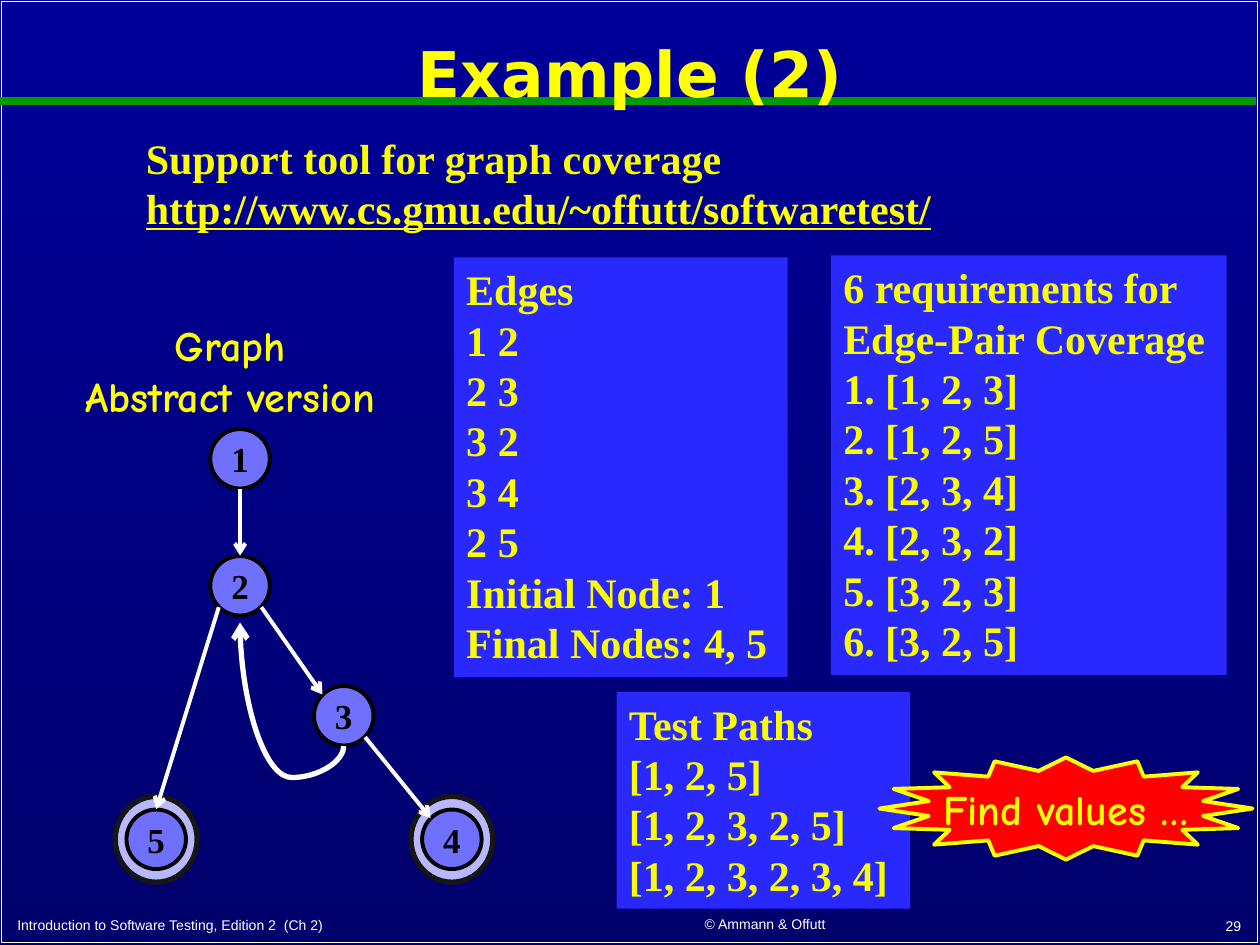
from dataclasses import dataclass

from lxml.etree import SubElement
from pptx import Presentation
from pptx.dml.color import RGBColor
from pptx.enum.shapes import MSO_CONNECTOR as Wire, MSO_SHAPE as Preset
from pptx.enum.text import MSO_ANCHOR as Anchor, PP_ALIGN as Align
from pptx.oxml.ns import qn
from pptx.util import Cm, Pt

WHITE = RGBColor(0xFF, 0xFF, 0xFF)
BLACK = RGBColor(0x00, 0x00, 0x00)
YELLOW = RGBColor(0xFF, 0xFF, 0x00)
LEMON = RGBColor(0xFA, 0xFD, 0x00)
RED = RGBColor(0xFF, 0x00, 0x00)
GREEN = RGBColor(0x00, 0x99, 0x00)
SKY_TOP = RGBColor(0x00, 0x00, 0x99)
SKY_BOTTOM = RGBColor(0x00, 0x00, 0x6D)
PANEL_BLUE = RGBColor(0x29, 0x29, 0xFF)
NODE_BLUE = RGBColor(0x70, 0x70, 0xFF)
RING_BLUE = RGBColor(0xB8, 0xB8, 0xFF)
RING_EDGE = RGBColor(0x16, 0x16, 0x16)

SERIF, COMIC = "Times New Roman", "Comic Neue"
NODE_SIZE = 1.2
RING_WIDTH, RING_HEIGHT = 1.65, 1.73
RADIUS, DIAGONAL = 0.61, 0.43


@dataclass(frozen=True)
class Style:
    font: str
    size: float
    color: RGBColor
    bold: bool = True
    align: Align = Align.LEFT
    anchor: Anchor = Anchor.TOP
    wrap: bool = True


@dataclass(frozen=True)
class Box:
    left: float
    top: float
    width: float
    height: float

    def lengths(self) -> list:
        return [Cm(v) for v in (self.left, self.top, self.width, self.height)]


@dataclass(frozen=True)
class Node:
    x: float
    y: float
    final: bool = False

    def around(self, width: float, height: float) -> Box:
        return Box(self.x - width / 2, self.y - height / 2, width, height)

    def site(self, dx: float, dy: float) -> tuple:
        return self.x + dx, self.y + dy


@dataclass(frozen=True)
class Panel:
    box: Box
    paragraphs: tuple


NODES = {
    1: Node(4.84, 9.25),
    2: Node(4.84, 11.81),
    3: Node(6.93, 14.43),
    4: Node(9.11, 16.92, final=True),
    5: Node(3.15, 16.92, final=True),
}
EDGES = (
    (NODES[1].site(0, RADIUS), NODES[2].site(0, -RADIUS)),
    (NODES[2].site(-DIAGONAL, DIAGONAL), NODES[5].site(0, -RADIUS)),
    (NODES[3].site(DIAGONAL, DIAGONAL), NODES[4].site(-DIAGONAL, -DIAGONAL)),
    (NODES[2].site(DIAGONAL, DIAGONAL), NODES[3].site(-DIAGONAL, -DIAGONAL)),
)
REQUIREMENTS = (
    "6 requirements for Edge-Pair Coverage", "1. [1, 2, 3]", "2. [1, 2, 5]",
    "3. [2, 3, 4]", "4. [2, 3, 2]", "5. [3, 2, 3]", "6. [3, 2, 5]",
)
PANELS = (
    Panel(Box(9.15, 5.19, 6.73, 8.46),
          ("Edges", "1 2", "2 3", "3 2", "3 4", "2 5", "Initial Node: 1", "Final Nodes: 4, 5")),
    Panel(Box(16.75, 5.15, 7.98, 8.46), ("\v".join(REQUIREMENTS),)),
    Panel(Box(12.43, 13.95, 5.92, 4.37),
          ("Test Paths", "[1, 2, 5]", "[1, 2, 3, 2, 5]", "[1, 2, 3, 2, 3, 4]")),
)


def write(shape, paragraphs: tuple, style: Style) -> list:
    frame = shape.text_frame
    frame.word_wrap = style.wrap
    frame.vertical_anchor = style.anchor
    for index, words in enumerate(paragraphs):
        paragraph = frame.add_paragraph() if index else frame.paragraphs[0]
        paragraph.text = words
        paragraph.alignment = style.align
        paragraph.font.name = style.font
        paragraph.font.size = Pt(style.size)
        paragraph.font.bold = style.bold
        paragraph.font.color.rgb = style.color
    return list(frame.paragraphs)


def add_text(slide, box: Box, paragraphs: tuple, style: Style) -> list:
    return write(slide.shapes.add_textbox(*box.lengths()), paragraphs, style)


def add_preset(slide, preset, box: Box, fill=None, line=None, width: float = 0):
    shape = slide.shapes.add_shape(preset, *box.lengths())
    shape.shadow.inherit = False
    if fill is None:
        shape.fill.background()
    else:
        shape.fill.solid()
        shape.fill.fore_color.rgb = fill
    if line is None:
        shape.line.fill.background()
    else:
        shape.line.color.rgb = line
        shape.line.width = Pt(width)
    return shape


def add_line(slide, start: tuple, end: tuple, color: RGBColor, width: float,
             arrow: bool = False, kind=Wire.STRAIGHT):
    line = slide.shapes.add_connector(kind, *(Cm(v) for v in start + end))
    line.line.color.rgb = color
    line.line.width = Pt(width)
    if arrow:
        SubElement(line.line._get_or_add_ln(), qn("a:tailEnd"), type="arrow")
    SubElement(line._element.spPr, qn("a:effectLst"))
    return line


def add_back_edge(slide, start: tuple, end: tuple) -> None:
    center_x, center_y = (start[0] + end[0]) / 2, (start[1] + end[1]) / 2
    half_length, half_depth = (start[1] - end[1]) / 2, (start[0] - end[0]) / 2
    curve = add_line(slide, (center_x + half_length, center_y - half_depth),
                     (center_x - half_length, center_y + half_depth),
                     WHITE, 3, arrow=True, kind=Wire.CURVE)
    properties = curve._element.spPr
    properties.find(qn("a:xfrm")).set("rot", "5400000")
    adjustments = properties.find(qn("a:prstGeom")).find(qn("a:avLst"))
    SubElement(adjustments, qn("a:gd"), name="adj1", fmla="val -25500")


def add_graph(slide) -> None:
    label = Style(SERIF, 20, BLACK, align=Align.CENTER, anchor=Anchor.MIDDLE, wrap=False)
    for number, node in NODES.items():
        if node.final:
            add_preset(slide, Preset.OVAL, node.around(RING_WIDTH, RING_HEIGHT),
                       RING_BLUE, RING_EDGE, 3)
        disc = add_preset(slide, Preset.OVAL, node.around(NODE_SIZE, NODE_SIZE),
                          NODE_BLUE, BLACK, 2.25)
        write(disc, (str(number),), label)
    for start, end in EDGES:
        add_line(slide, start, end, WHITE, 2.25, arrow=True)
    add_back_edge(slide, NODES[3].site(0, RADIUS), NODES[2].site(0, 0.74))
    add_text(slide, Box(0.46, 6.32, 8.36, 2.31), ("Graph", "Abstract version"),
             Style(COMIC, 24, YELLOW, align=Align.CENTER))


def main() -> None:
    deck = Presentation()
    deck.slide_width, deck.slide_height = Cm(25.4), Cm(19.05)
    slide = deck.slides.add_slide(deck.slide_layouts[6])

    sky = slide.background.fill
    sky.gradient()
    sky.gradient_angle = 270
    for stop, color in zip(sky.gradient_stops, (SKY_TOP, SKY_BOTTOM)):
        stop.color.rgb = color

    add_preset(slide, Preset.RECTANGLE, Box(0.03, 0.03, 25.32, 18.97), line=WHITE, width=1)
    add_line(slide, (0, 2.03), (25.32, 2.03), GREEN, 4.5)
    title = add_text(slide, Box(0.13, 0.28, 25.15, 2.54), ("Example (2)",),
                     Style("DejaVu Sans", 36, YELLOW, align=Align.CENTER, anchor=Anchor.MIDDLE))
    title[0].line_spacing = 0.9

    for box, words, align in (
        (Box(0.1, 18.24, 10.67, 0.69), "Introduction to Software Testing, Edition 2  (Ch 2)", Align.LEFT),
        (Box(11.4, 18.21, 8.05, 0.71), "© Ammann & Offutt", Align.CENTER),
        (Box(19.99, 18.21, 5.28, 0.74), "29", Align.RIGHT),
    ):
        add_text(slide, box, (words,),
                 Style("Arial", 8, WHITE, bold=False, align=align, anchor=Anchor.BOTTOM))

    body = Style(SERIF, 24, LEMON)
    support = add_text(slide, Box(2.69, 2.54, 20.02, 2.31),
                       ("Support tool for graph coverage",
                        "http://www.cs.gmu.edu/~offutt/softwaretest/"), body)
    support[1].font.underline = True
    support[1].font.color.rgb = YELLOW

    add_graph(slide)
    for panel in PANELS:
        write(add_preset(slide, Preset.RECTANGLE, panel.box, PANEL_BLUE), panel.paragraphs, body)
    burst = add_preset(slide, Preset.STAR_16_POINT, Box(17.73, 15.27, 7.52, 2.06), RED, YELLOW, 2.25)
    write(burst, ("Find values …",),
          Style(COMIC, 24, YELLOW, align=Align.CENTER, anchor=Anchor.MIDDLE, wrap=False))

    deck.save("out.pptx")


if __name__ == "__main__":
    main()
